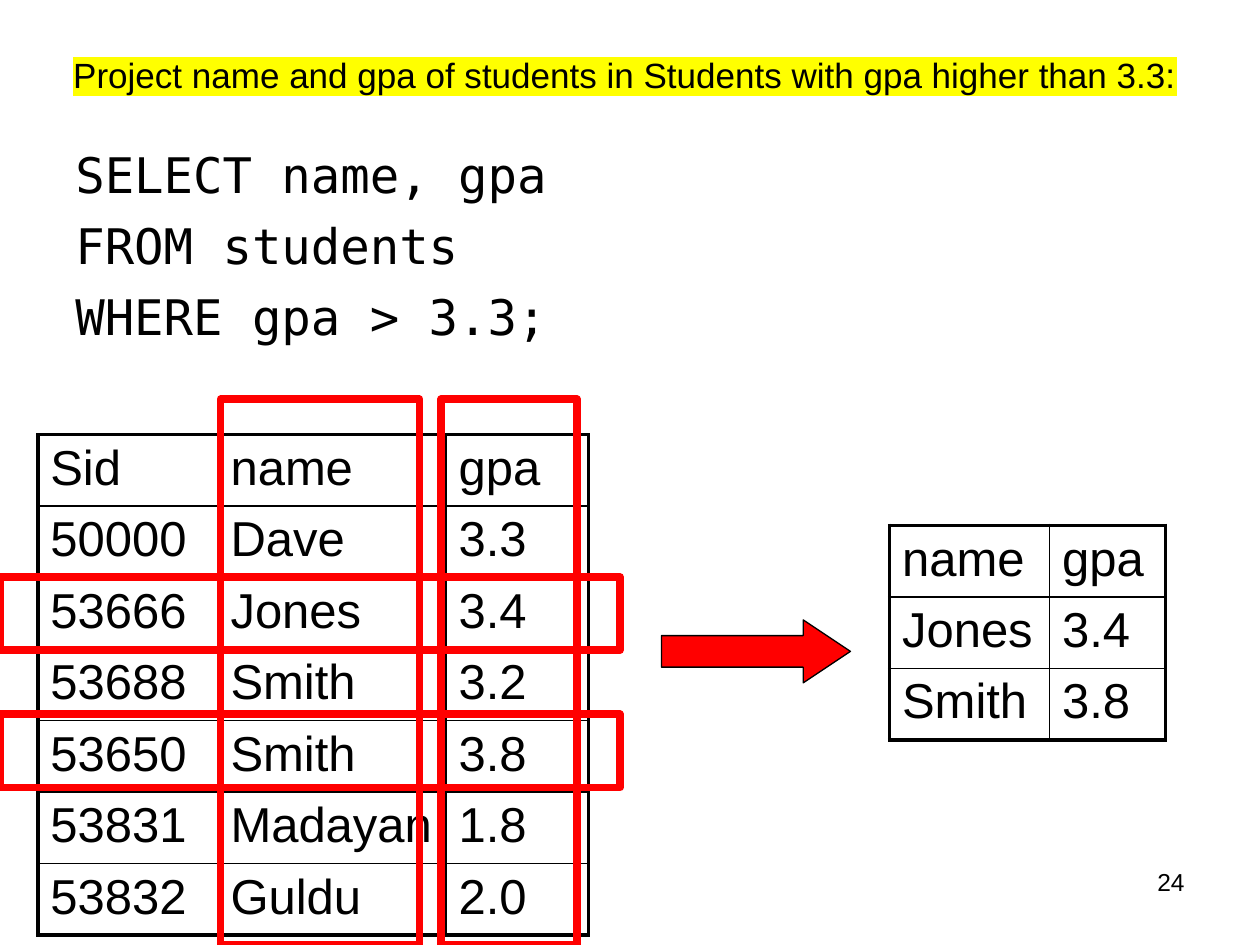
from dataclasses import dataclass
from lxml import etree
from pptx import Presentation
from pptx import util as u
from pptx.dml.color import RGBColor
from pptx.enum import shapes, text
from pptx.oxml import ns


@dataclass
class Theme:
    ink: str = "000000"
    red: str = "FF0000"
    mark: str = "FFFF00"
    sans: str = "Arial"
    mono: str = "DejaVu Sans Mono"
    big: int = 28
    head: int = 20
    small: int = 14
    thick: float = 2.25
    thin: float = 1
    frame: float = 4.5
    edge: float = 0.75


class Deck:
    def __init__(self, theme):
        self.theme = theme
        self.show = Presentation()
        self.show.slide_width, self.show.slide_height = u.Inches(10), u.Inches(7.5)
        self.slide = self.show.slides.add_slide(self.show.slide_layouts[6])

    def box(self, *at):
        return [u.Inches(n) for n in at]

    def run(self, para, words, size, font=None, mark=None):
        run = para.add_run()
        run.text = words
        run.font.size = u.Pt(size)
        run.font.color.rgb = RGBColor.from_string(self.theme.ink)
        if mark:
            light = etree.SubElement(run.font._element, ns.qn("a:highlight"))
            etree.SubElement(light, ns.qn("a:srgbClr"), val=mark)
        run.font.name = font or self.theme.sans

    def text(self, at, lines, size, font=None, mark=None, gap=0,
             align=text.PP_ALIGN.LEFT, anchor=text.MSO_ANCHOR.TOP):
        frame = self.slide.shapes.add_textbox(*self.box(*at)).text_frame
        frame.word_wrap = True
        frame.vertical_anchor = anchor
        for i, line in enumerate(lines):
            para = frame.add_paragraph() if i else frame.paragraphs[0]
            para.alignment = align
            para.space_before = u.Pt(gap if i else 0)
            self.run(para, line, size, font, mark)

    def border(self, cell, sides):
        props = cell._tc.get_or_add_tcPr()
        for i, (side, width) in enumerate(sides.items()):
            line = etree.Element(ns.qn("a:ln" + side), w=str(u.Pt(width)))
            fill = etree.SubElement(line, ns.qn("a:solidFill"))
            etree.SubElement(fill, ns.qn("a:srgbClr"), val=self.theme.ink)
            props.insert(i, line)

    def table(self, left, top, cols, high, rows):
        th = self.theme
        at = self.box(left, top, sum(cols), high)
        grid = self.slide.shapes.add_table(len(rows), len(cols), *at).table
        grid.first_row = grid.horz_banding = False
        for col, wide in zip(grid.columns, cols):
            col.width = u.Inches(wide)
        for r, row in enumerate(rows):
            grid.rows[r].height = u.Inches(high / len(rows))
            for c, words in enumerate(row):
                cell = grid.cell(r, c)
                cell.fill.background()
                self.run(cell.text_frame.paragraphs[0], words, th.big)
                outer = {"L": c == 0, "R": c == len(cols) - 1,
                         "T": r == 0, "B": r == len(rows) - 1}
                self.border(cell, {side: th.thick if out else th.thin
                                   for side, out in outer.items()})

    def shape(self, home, kind, at, line, width, fill=None):
        item = home.add_shape(kind, *self.box(*at))
        item.shadow.inherit = False
        item.line.color.rgb = RGBColor.from_string(line)
        item.line.width = u.Pt(width)
        if fill:
            item.fill.solid()
            item.fill.fore_color.rgb = RGBColor.from_string(fill)
        else:
            item.fill.background()
        return item

    def frames(self, spots):
        group = self.slide.shapes.add_group_shape()
        for at in spots:
            self.shape(group.shapes, shapes.MSO_SHAPE.RECTANGLE, at,
                       self.theme.red, self.theme.frame)

    def arrow(self, at, head):
        th = self.theme
        item = self.shape(self.slide.shapes, shapes.MSO_SHAPE.RIGHT_ARROW, at,
                          th.ink, th.edge, th.red)
        item.adjustments[1] = head


def main():
    th = Theme()
    deck = Deck(th)
    deck.text((0.46, 0.17, 9, 0.84),
              ["Project name and gpa of students in Students with gpa higher than 3.3:"],
              th.head, mark=th.mark, align=text.PP_ALIGN.CENTER,
              anchor=text.MSO_ANCHOR.MIDDLE)
    deck.text((0.5, 1.1, 9, 1.9),
              ["SELECT name, gpa", "FROM students", "WHERE gpa > 3.3;"],
              th.big, th.mono, gap=6.8)
    deck.table(0.3, 3.45, [1.43, 1.81, 1.13], 3.93, [
        ("Sid", "name", "gpa"),
        ("50000", "Dave", "3.3"),
        ("53666", "Jones", "3.4"),
        ("53688", "Smith", "3.2"),
        ("53650", "Smith", "3.8"),
        ("53831", "Madayan", "1.8"),
        ("53832", "Guldu", "2.0"),
    ])
    deck.table(7.06, 4.17, [1.27, 0.92], 1.69, [
        ("name", "gpa"), ("Jones", "3.4"), ("Smith", "3.8"),
    ])
    deck.frames([(0, top, 4.92, 0.58) for top in (4.58, 5.67)])
    deck.frames([(left, 3.17, wide, 4.33) for left, wide in ((1.75, 1.58), (3.5, 1.08))])
    deck.arrow((5.25, 4.92, 1.5, 0.5), 0.75)
    deck.text((7.17, 6.83, 2.33, 0.52), ["24"], th.small, align=text.PP_ALIGN.RIGHT)
    deck.show.save("out.pptx")


if __name__ == "__main__":
    main()
